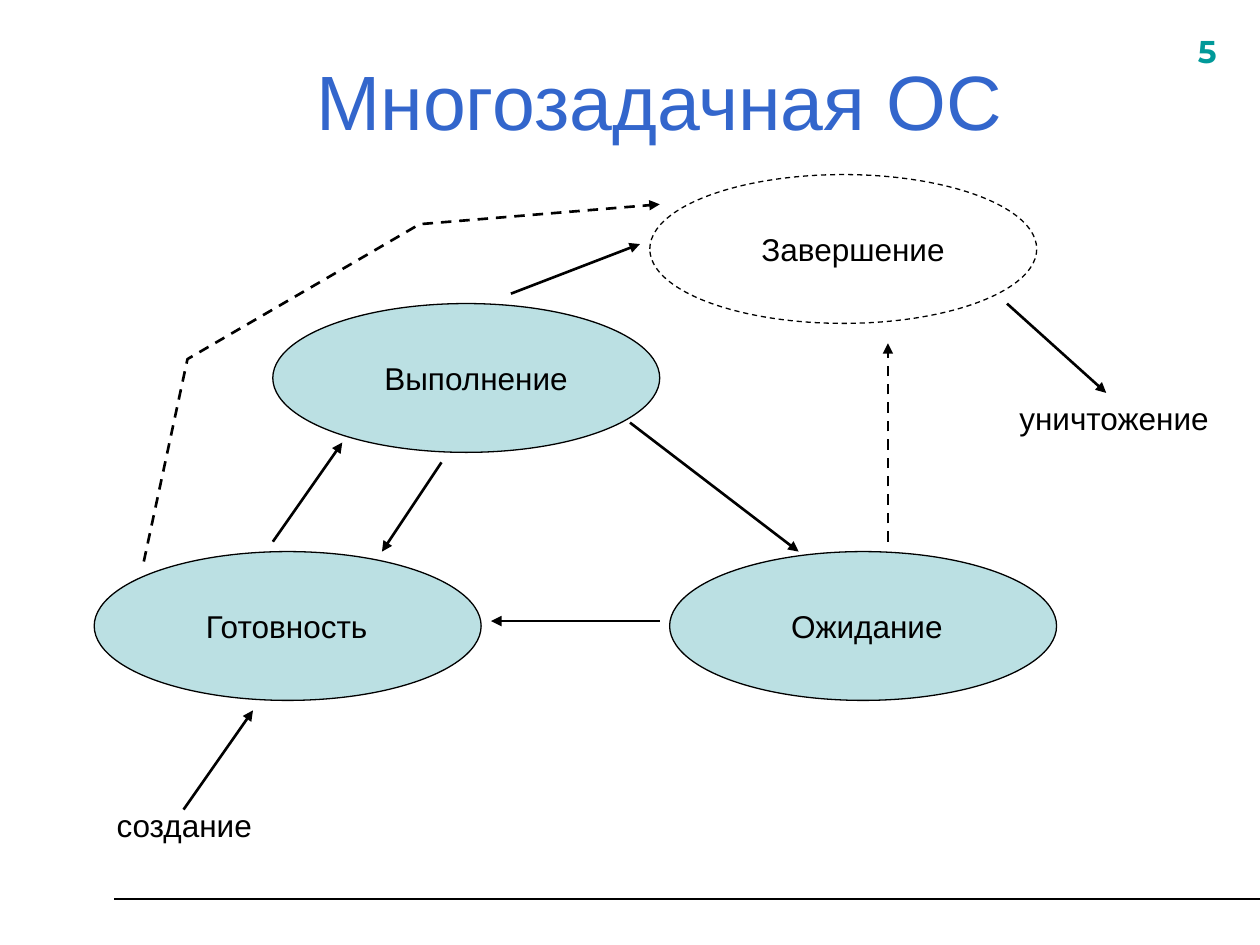
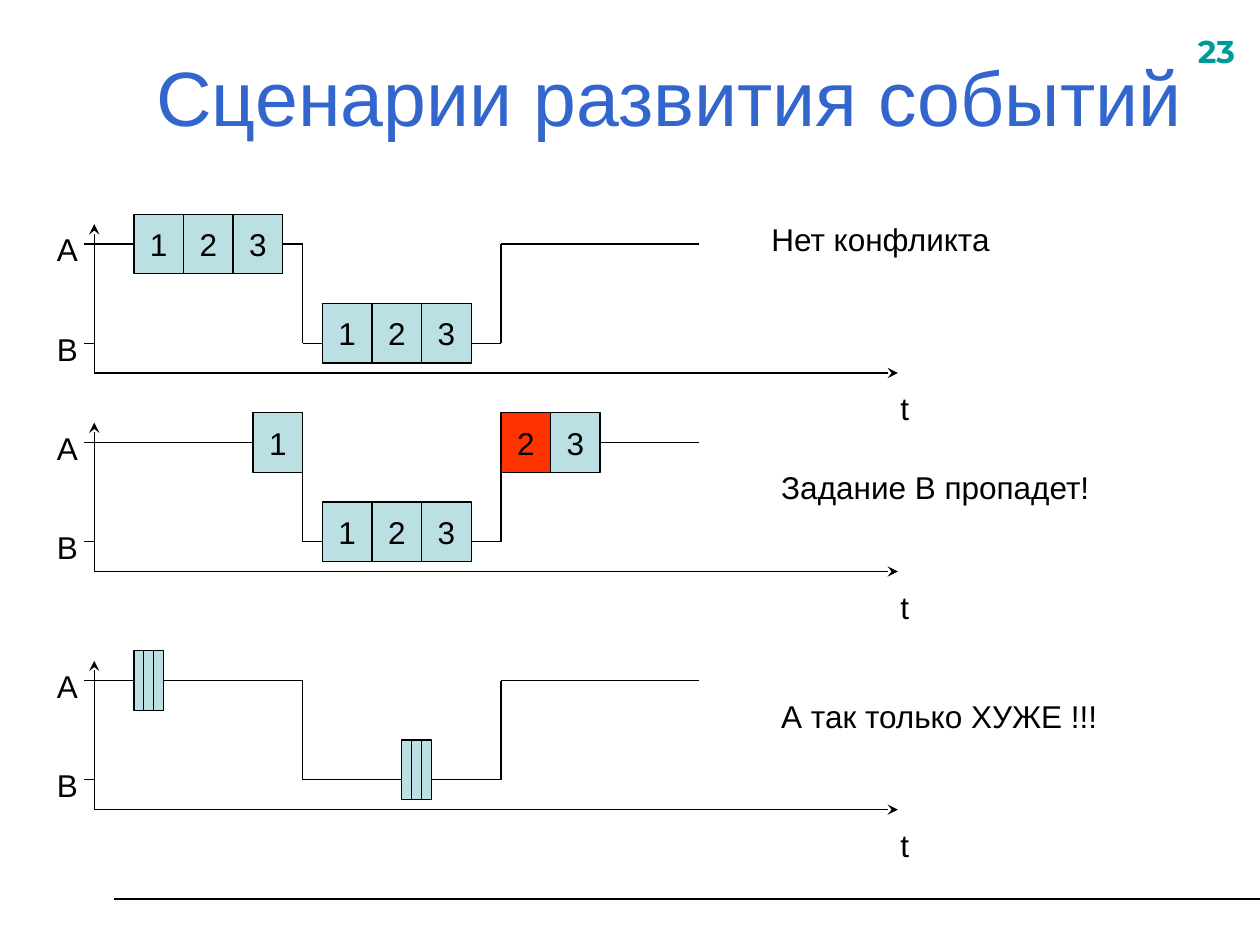
from dataclasses import dataclass
from itertools import pairwise
from typing import Any, NamedTuple

import lxml.etree
import pptx
import pptx.dml.color
import pptx.enum.dml
import pptx.enum.shapes
import pptx.enum.text
import pptx.oxml.ns
import pptx.util

SLIDE_WIDTH = pptx.util.Inches(10)
SLIDE_HEIGHT = pptx.util.Inches(7.5)
CELL = SLIDE_WIDTH / 127  # square grid cell
GRID_LEFT, GRID_TOP = 0.5, 0.6  # grid margins, in cells

BLACK, WHITE = "000000", "FFFFFF"
TITLE_BLUE, NUMBER_TEAL = "3366CC", "009999"
PALE_TEAL, ALERT_RED = "BBE0E3", "FF3300"

TITLE_FONT = {"name": "Arial", "size": 44, "color": TITLE_BLUE, "bold": False}
NUMBER_FONT = {"name": "Montserrat", "size": 18, "color": NUMBER_TEAL, "bold": True}
BODY_FONT = {"name": "Arial", "size": 18, "color": BLACK, "bold": False}

Align = pptx.enum.text.PP_ALIGN
Anchor = pptx.enum.text.MSO_ANCHOR
Preset = pptx.enum.shapes.MSO_SHAPE


class Point(NamedTuple):
    column: float
    row: float


class Box(NamedTuple):
    column: float
    row: float
    width: float
    height: float


@dataclass(frozen=True)
class State:
    name: str
    corner: Point
    label_shift: float = 10
    label_width: float = 25
    fill: str = PALE_TEAL
    dashed: bool = False


@dataclass(frozen=True)
class Transition:
    start: Point
    end: Point
    dashed: bool = False


@dataclass(frozen=True)
class Step:
    column: float
    task: str
    text: str = ""
    width: float = 5
    fill: str = PALE_TEAL


@dataclass(frozen=True)
class Scenario:
    top: float
    caption: str
    caption_at: Point
    steps: list[Step]


STATES = [
    State("Выполнение", Point(27, 30)),
    State("Ожидание", Point(67, 55), label_shift=11, label_width=19),
    State("Готовность", Point(9, 55)),
    State("Завершение", Point(65, 17), fill=WHITE, dashed=True),
]
TRANSITIONS = [
    Transition(Point(18, 81), Point(25, 71)),
    Transition(Point(51, 29), Point(64, 24)),
    Transition(Point(27, 54), Point(34, 44)),
    Transition(Point(66, 62), Point(49, 62)),
    Transition(Point(89, 54), Point(89, 34), dashed=True),
    Transition(Point(44, 46), Point(38, 55)),
    Transition(Point(63, 42), Point(80, 55)),
    Transition(Point(101, 30), Point(111, 39)),
]
ABORT_ROUTE = [Point(14, 56), Point(18.4, 35.6), Point(41.8, 22), Point(66, 20)]


def numbered_steps(column: float, task: str) -> list[Step]:
    return [Step(column + 5 * i, task, str(i + 1)) for i in range(3)]


def thin_steps(column: float, task: str) -> list[Step]:
    return [Step(column + i, task, width=1) for i in range(3)]


SCENARIOS = [
    Scenario(22, "Нет конфликта", Point(76, 21),
             numbered_steps(13, "A") + numbered_steps(32, "B")),
    Scenario(42, "Задание B пропадет!", Point(77, 46),
             [Step(25, "A", "1"), Step(50, "A", "2", fill=ALERT_RED), Step(55, "A", "3")]
             + numbered_steps(32, "B")),
    Scenario(66, "А так только ХУЖЕ !!!", Point(77, 69),
             thin_steps(13, "A") + thin_steps(40, "B")),
]
LEVEL_ROWS = {"A": 2, "B": 12}
STEP_ROWS = {"A": -1, "B": 8}
STEP_HEIGHT = 6
AXIS_COLUMN, AXIS_END, AXIS_HEIGHT = 9, 90, 15


def rgb(color: str) -> pptx.dml.color.RGBColor:
    return pptx.dml.color.RGBColor.from_string(color)


def place(point: Point) -> tuple[int, int]:
    """Turn a grid point into slide coordinates."""
    return round((point.column + GRID_LEFT) * CELL), round((point.row + GRID_TOP) * CELL)


def frame(box: Box) -> tuple[int, int, int, int]:
    return *place(Point(box.column, box.row)), round(box.width * CELL), round(box.height * CELL)


def style_line(shape: Any, width: float, dashed: bool = False, **arrows: str) -> None:
    """Set the outline; arrows maps headEnd or tailEnd to an arrow type."""
    shape.line.color.rgb = rgb(BLACK)
    shape.line.width = pptx.util.Pt(width)
    if dashed:
        shape.line.dash_style = pptx.enum.dml.MSO_LINE.DASH
    for end, kind in arrows.items():
        lxml.etree.SubElement(shape.get_or_add_ln(), pptx.oxml.ns.qn(f"a:{end}"), type=kind)


def add_line(slide: Any, start: Point, end: Point, width: float = 0.75,
             dashed: bool = False, **arrows: str) -> Any:
    connector = slide.shapes.add_connector(
        pptx.enum.shapes.MSO_CONNECTOR.STRAIGHT, *place(start), *place(end))
    style_line(connector, width, dashed, **arrows)
    lxml.etree.SubElement(connector.element.spPr, pptx.oxml.ns.qn("a:effectLst"))
    return connector


def write(shape: Any, text: str, font: dict[str, Any], align: Any = Align.LEFT,
          anchor: Any = Anchor.TOP, wrap: bool = True) -> None:
    frame_format = {"word_wrap": wrap, "vertical_anchor": anchor}
    for name, value in frame_format.items():
        setattr(shape.text_frame, name, value)
    paragraph = shape.text_frame.paragraphs[0]
    paragraph.alignment = align
    run = paragraph.add_run()
    run.text = text
    run.font.color.rgb = rgb(font["color"])
    run.font.size = pptx.util.Pt(font["size"])
    for name in ("name", "bold"):
        setattr(run.font, name, font[name])


def add_text(parent: Any, box: Box, text: str, font: dict[str, Any] = BODY_FONT,
             **text_format: Any) -> Any:
    shape = parent.shapes.add_textbox(*frame(box))
    write(shape, text, font, **text_format)
    return shape


def add_filled(parent: Any, preset: Any, box: Box, fill: str, dashed: bool = False) -> Any:
    shape = parent.shapes.add_shape(preset, *frame(box))
    shape.shadow.inherit = False
    shape.fill.solid()
    shape.fill.fore_color.rgb = rgb(fill)
    style_line(shape, 0.75, dashed)
    return shape


def add_slide(presentation: Any, number: int, title: str, title_box: Box) -> Any:
    """Add a slide with the shared footer line, page number and title."""
    slide = presentation.slides.add_slide(presentation.slide_layouts[6])
    add_line(slide, Point(11, 90), Point(126.5, 90), 1.25)
    add_text(slide, Box(119, 2, 8, 5.6), str(number), NUMBER_FONT)
    add_text(slide, title_box, title, TITLE_FONT, align=Align.CENTER, anchor=Anchor.MIDDLE)
    return slide


def add_state(slide: Any, state: State) -> None:
    group = slide.shapes.add_group_shape()
    column, row = state.corner
    add_filled(group, Preset.OVAL, Box(column, row, 39, 15), state.fill, state.dashed)
    add_text(group, Box(column + state.label_shift, row + 5, state.label_width, 5), state.name)


def add_abort_route(slide: Any) -> None:
    start, *corners = [place(point) for point in ABORT_ROUTE]
    builder = slide.shapes.build_freeform(*start)
    builder.add_line_segments(corners, close=False)
    route = builder.convert_to_shape()
    route.shadow.inherit = False
    route.fill.background()
    style_line(route, 1.5, True, tailEnd="triangle")


def add_step(slide: Any, step: Step, top: float) -> tuple[Box, Any]:
    box = Box(step.column, top + STEP_ROWS[step.task], step.width, STEP_HEIGHT)
    shape = add_filled(slide, Preset.RECTANGLE, box, step.fill)
    if step.text:
        write(shape, step.text, BODY_FONT, Align.CENTER, Anchor.MIDDLE, wrap=False)
    return box, shape


def add_axes(slide: Any, top: float) -> None:
    origin = Point(AXIS_COLUMN, top + AXIS_HEIGHT)
    add_line(slide, Point(AXIS_COLUMN, top), origin, headEnd="stealth")
    add_line(slide, origin, Point(AXIS_END, origin.row), tailEnd="stealth")
    level = top + LEVEL_ROWS["B"]
    add_line(slide, Point(AXIS_COLUMN, level), Point(AXIS_COLUMN - 1, level))
    for task, row in LEVEL_ROWS.items():
        add_text(slide, Box(4, top + row - 2, 4.6, 5), task, wrap=False)
    add_text(slide, Box(AXIS_END - 1, origin.row + 1, 10, 5), "t")


def add_scenario(slide: Any, scenario: Scenario) -> None:
    add_axes(slide, scenario.top)
    high, low = (scenario.top + LEVEL_ROWS[task] for task in "AB")
    corners = [Point(8, high), Point(30, high), Point(30, low),
               Point(50, low), Point(50, high), Point(70, high)]
    segments = [(start, end, add_line(slide, start, end)) for start, end in pairwise(corners)]
    for step in scenario.steps:
        box, shape = add_step(slide, step, scenario.top)
        middle = box.row + box.height / 2
        sides = {1: Point(box.column, middle), 3: Point(box.column + box.width, middle)}
        for site, point in sides.items():
            for start, end, connector in segments:
                if start == point:
                    connector.begin_connect(shape, site)
                if end == point:
                    connector.end_connect(shape, site)
    add_text(slide, Box(*scenario.caption_at, 42, 5), scenario.caption)


def add_states_slide(presentation: Any) -> None:
    slide = add_slide(presentation, 5, "Многозадачная ОС", Box(9, 3, 114, 13))
    for transition in TRANSITIONS:
        add_line(slide, transition.start, transition.end, 1.5, transition.dashed,
                 tailEnd="triangle")
    for state in STATES:
        add_state(slide, state)
    add_abort_route(slide)
    add_text(slide, Box(10, 80, 29, 5), "создание")
    add_text(slide, Box(101, 39, 23, 5), "уничтожение")


def add_scenarios_slide(presentation: Any) -> None:
    slide = add_slide(presentation, 23, "Сценарии развития событий", Box(10, 3, 114, 12))
    for scenario in SCENARIOS:
        add_scenario(slide, scenario)


def main() -> None:
    presentation = pptx.Presentation()
    presentation.slide_width = SLIDE_WIDTH
    presentation.slide_height = SLIDE_HEIGHT
    add_states_slide(presentation)
    add_scenarios_slide(presentation)
    presentation.save("out.pptx")


if __name__ == "__main__":
    main()
